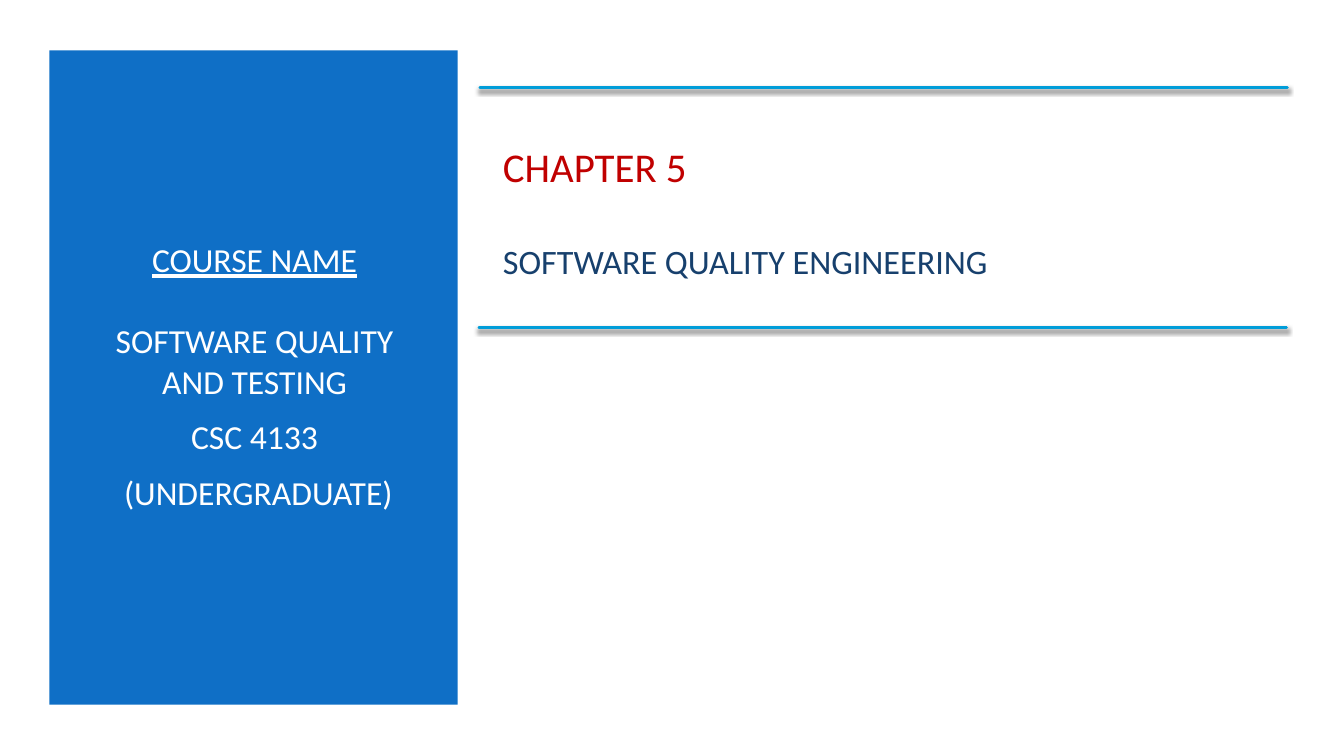
import pptx
import pptx.dml.color
import pptx.enum.shapes
import pptx.enum.text
import pptx.oxml
import pptx.oxml.ns
import pptx.util

Inches = pptx.util.Inches
Pt = pptx.util.Pt
RGBColor = pptx.dml.color.RGBColor
ALIGN = pptx.enum.text.PP_ALIGN

WHITE = RGBColor(0xFF, 0xFF, 0xFF)
PANEL_BLUE = RGBColor(0x0F, 0x6F, 0xC6)
RULE_BLUE = RGBColor(0x00, 0x9D, 0xD9)
NAVY = RGBColor(0x17, 0x40, 0x6D)
RED = RGBColor(0xC0, 0x00, 0x00)

PAGE_WIDTH, PAGE_HEIGHT = 13.33, 7.5
RULE_LENGTH = 8.01

SHADOW = (
    f'<a:effectLst {pptx.oxml.ns.nsdecls("a")}>'
    f'<a:outerShdw blurRad="{Pt(3)}" dist="{Pt(2)}" dir="5400000" rotWithShape="0">'
    '<a:srgbClr val="000000"><a:alpha val="55000"/></a:srgbClr>'
    '</a:outerShdw></a:effectLst>'
)


class CoverSlide:
    font_name = "Calibri"

    def __init__(self, deck):
        self.page = deck.slides.add_slide(deck.slide_layouts[6])

    def rectangle(self, left, top, width, height, color):
        shape = self.page.shapes.add_shape(
            pptx.enum.shapes.MSO_SHAPE.RECTANGLE,
            Inches(left), Inches(top), Inches(width), Inches(height))
        shape.shadow.inherit = False
        shape.fill.solid()
        shape.fill.fore_color.rgb = color
        shape.line.fill.background()

    def text(self, left, top, width, height, lines):
        """Add a middle-anchored box; lines holds (text, color, font format, paragraph format)."""
        box = self.page.shapes.add_textbox(
            Inches(left), Inches(top), Inches(width), Inches(height))
        frame = box.text_frame
        frame.word_wrap = True
        frame.vertical_anchor = pptx.enum.text.MSO_ANCHOR.MIDDLE
        for index, (words, color, font_format, para_format) in enumerate(lines):
            para = frame.add_paragraph() if index else frame.paragraphs[0]
            span = para.add_run()
            span.text = words
            span.font.color.rgb = color
            for name, value in {"name": self.font_name, **font_format}.items():
                setattr(span.font, name, value)
            for name, value in para_format.items():
                setattr(para, name, value)

    def shadowed_rule(self, left, top):
        rule = self.page.shapes.add_connector(
            pptx.enum.shapes.MSO_CONNECTOR.STRAIGHT,
            Inches(left), Inches(top), Inches(left + RULE_LENGTH), Inches(top))
        rule.line.color.rgb = RULE_BLUE
        rule.line.width = Pt(2)
        properties = rule._element.spPr
        properties.find(pptx.oxml.ns.qn("a:ln")).set("cap", "rnd")
        properties.append(pptx.oxml.parse_xml(SHADOW))


def main():
    deck = pptx.Presentation()
    deck.slide_width = Inches(PAGE_WIDTH)
    deck.slide_height = Inches(PAGE_HEIGHT)
    cover = CoverSlide(deck)

    cover.rectangle(0, 0, PAGE_WIDTH, PAGE_HEIGHT, WHITE)
    cover.rectangle(0.49, 0.5, 4.05, 6.49, PANEL_BLUE)

    course_font = {"size": Pt(24)}
    course_para = {"alignment": ALIGN.CENTER, "space_before": Pt(4.8), "space_after": Pt(6)}
    cover.text(0.84, 1.1, 3.37, 5.25, [
        ("COURSE NAME", WHITE, {**course_font, "underline": True},
         {**course_para, "space_after": Pt(24.5)}),
        ("SOFTWARE QUALITY AND TESTING", WHITE, course_font, course_para),
        ("CSC 4133", WHITE, course_font, course_para),
        (" (UNDERGRADUATE)", WHITE, course_font, course_para),
    ])
    cover.text(4.89, 1.1, 7.85, 2, [
        ("CHAPTER 5", RED, {"size": Pt(29.2)}, {"space_after": Pt(35.6)}),
        ("SOFTWARE QUALITY ENGINEERING", NAVY, {"size": Pt(24.4)}, {}),
    ])

    for left, top in ((4.76, 0.87), (4.75, 3.25)):
        cover.shadowed_rule(left, top)

    deck.save("out.pptx")


if __name__ == "__main__":
    main()
